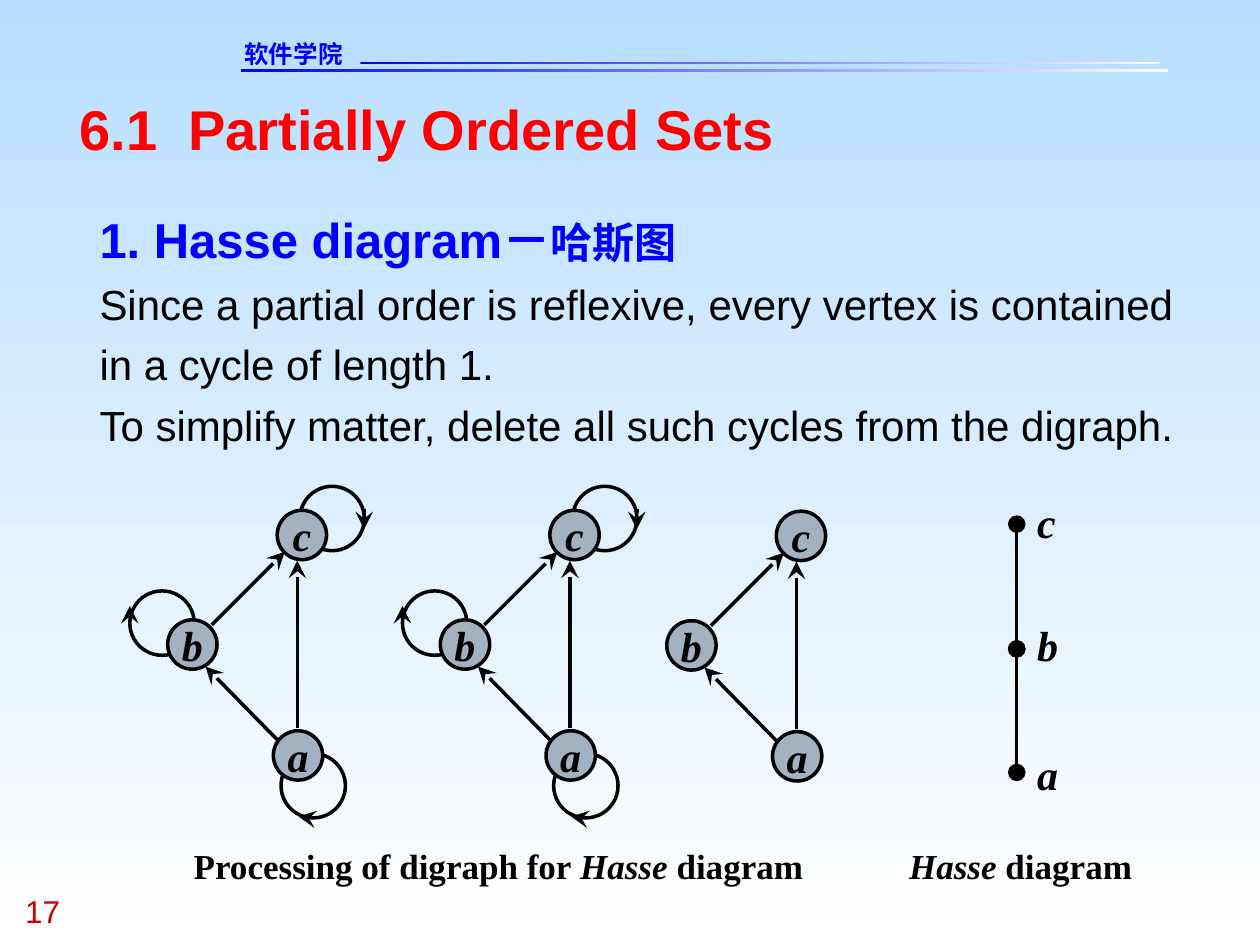
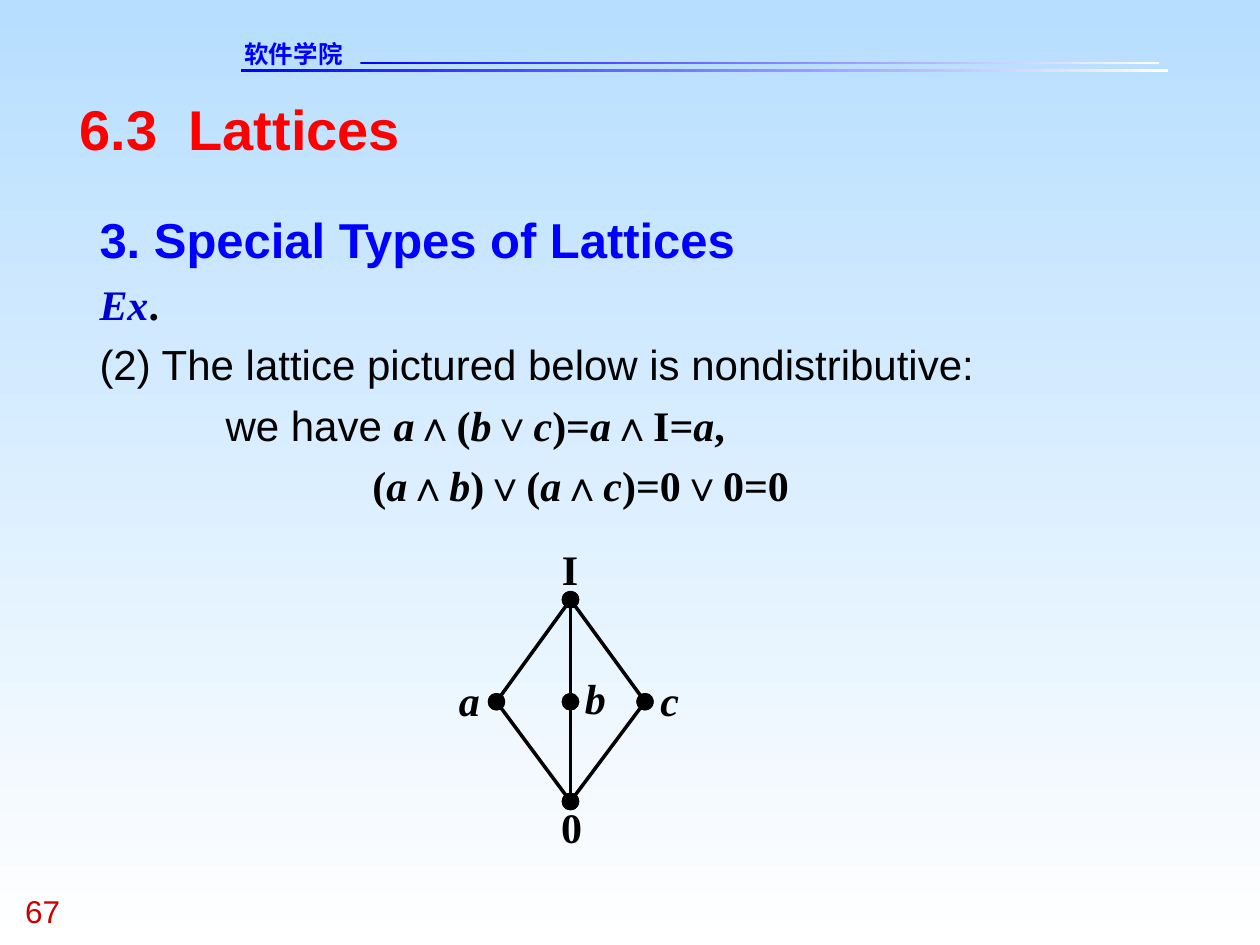
from dataclasses import dataclass, replace
from itertools import groupby
from typing import NamedTuple

from lxml.etree import SubElement
from pptx import Presentation
from pptx.dml.color import RGBColor
from pptx.enum.lang import MSO_LANGUAGE_ID
from pptx.enum.shapes import MSO_CONNECTOR, MSO_SHAPE
from pptx.enum.text import MSO_ANCHOR, PP_ALIGN
from pptx.oxml.ns import qn
from pptx.util import Pt

# Shared look
BLACK, BLUE, RED, WHITE = "000000", "0000FF", "FF0000", "FFFFFF"
SKY, NODE_GREY, NUMBER_RED, EXAMPLE_BLUE = "B7DEFF", "A3B2C1", "CC0000", "0000CC"
SANS, SERIF, HEADER_FONT = "Arial", "Times New Roman", "DejaVu Sans"
LINE_WIDTH = 2
NODE_SIZE, LOOP_SIZE = 28.2, 36.8


class Point(NamedTuple):
    x: float
    y: float


class Place(NamedTuple):
    left: float
    top: float
    width: float
    height: float


class Edge(NamedTuple):
    start: Point
    end: Point


class Label(NamedTuple):
    text: str
    centre: float
    top: float


@dataclass(frozen=True)
class Span:
    text: str
    size: float = 24
    font: str = SANS
    colour: str = BLACK
    bold: bool = False
    italic: bool = False


@dataclass(frozen=True)
class Para:
    spans: list[Span]
    indent: float = 0
    tab: float = 0


HEADER_RULES = [Place(137.5, 39.6, 530, 1.5), Place(206, 35.3, 456.5, 1.5)]
HEADER_PLACE = Place(139.7, 22.3, 104, 16.6)
NUMBER_PLACE = Place(14.4, 509.8, 54, 21.6)
TITLE_PLACE = Place(45.4, 54, 630, 38)
BODY_PLACE = Place(56.9, 113, 630.7, 178.6)
TITLE_TAB = 62.3

# Digraph on a, b, c, placed as its leftmost copy
NODES = {"b": Point(95.8, 354.2), "c": Point(158.4, 291.6), "a": Point(156.2, 417.6)}
NODE_EDGES = [
    Edge(Point(159.1, 423.4), Point(117.4, 380.9)),
    Edge(Point(121, 357.1), Point(162.7, 315.4)),
    Edge(Point(169.9, 416.2), Point(169.9, 320.4)),
]
LOOPS = [Point(74.2, 337.7), Point(171.4, 277.9), Point(160.6, 430.6)]
LOOP_EDGES = [
    Edge(Point(74.2, 355), Point(74.2, 346.3)),
    Edge(Point(208.1, 290.9), Point(208.1, 302.4)),
    Edge(Point(179.3, 468), Point(170.6, 466.6)),
]


def colour_of(value: str) -> RGBColor:
    return RGBColor.from_string(value)


def points(values) -> list:
    return [Pt(value) for value in values]


def set_gradient(fill, first: str, last: str, angle: float) -> None:
    fill.gradient()
    fill.gradient_angle = angle
    for stop, value in zip(fill.gradient_stops, (first, last)):
        stop.color.rgb = colour_of(value)


def write(frame, paras: list[Para], *, align=PP_ALIGN.LEFT, anchor=MSO_ANCHOR.TOP,
          wrap: bool = True, spacing: float | None = None) -> None:
    """Fill a text frame that has no margins."""
    frame.margin_left = frame.margin_right = frame.margin_top = frame.margin_bottom = 0
    frame.word_wrap = wrap
    frame.vertical_anchor = anchor
    for index, para in enumerate(paras):
        line = frame.add_paragraph() if index else frame.paragraphs[0]
        line.alignment = align
        if spacing:
            line.line_spacing = spacing
        properties = line._p.get_or_add_pPr()
        if para.indent:
            properties.set("marL", str(Pt(para.indent)))
        if para.tab:
            stops = SubElement(properties, qn("a:tabLst"))
            SubElement(stops, qn("a:tab"), pos=str(Pt(para.tab)), algn="l")
        for span in para.spans:
            run = line.add_run()
            run.text = span.text
            font = run.font
            font.size, font.name = Pt(span.size), span.font
            font.bold, font.italic = span.bold, span.italic
            font.color.rgb = colour_of(span.colour)
            if not span.text.isascii():
                font.language_id = MSO_LANGUAGE_ID.SIMPLIFIED_CHINESE
                SubElement(run._r.get_or_add_rPr(), qn("a:ea"), typeface=span.font)


def add_text(page, place: Place, paras: list[Para], **layout) -> None:
    write(page.shapes.add_textbox(*points(place)).text_frame, paras, **layout)


def add_line(page, edge: Edge, *, head: str = "none", tail: str = "none") -> None:
    line = page.shapes.add_connector(MSO_CONNECTOR.STRAIGHT, *points(edge.start + edge.end))
    line.line.width = Pt(LINE_WIDTH)
    line.line.color.rgb = colour_of(BLACK)
    outline = line.line._get_or_add_ln()
    for tag, kind in (("a:headEnd", head), ("a:tailEnd", tail)):
        SubElement(outline, qn(tag), type=kind, w="lg", len="lg")
    SubElement(line._element.spPr, qn("a:effectLst"))


def add_circle(page, corner: Point, size: float, fill: str | None = None):
    circle = page.shapes.add_shape(MSO_SHAPE.OVAL, *points((*corner, size, size)))
    circle.shadow.inherit = False
    circle.line.width = Pt(LINE_WIDTH)
    circle.line.color.rgb = colour_of(BLACK)
    if fill:
        circle.fill.solid()
        circle.fill.fore_color.rgb = colour_of(fill)
    else:
        circle.fill.background()
    return circle


def symbol(text: str) -> Span:
    """A mathematical name: small letters slant, operators are sans."""
    operator = text[0] in "∧∨"
    return Span(text, font=SANS if operator else SERIF, bold=True, italic=text[0].islower())


def formula(text: str) -> list[Span]:
    def kind(letter: str) -> tuple[bool, bool]:
        return letter in "∧∨", letter.islower()
    return [symbol("".join(group)) for _, group in groupby(text, kind)]


def add_labels(page, labels: list[Label]) -> None:
    for label in labels:
        add_text(page, Place(label.centre - 6, label.top, 12, 28.8),
                 [Para([symbol(label.text)])], align=PP_ALIGN.CENTER, wrap=False)


def add_digraph(page, right: float, down: float, loops: bool) -> None:
    def moved(point: Point) -> Point:
        return Point(point.x + right, point.y + down)

    def add_arrows(edges: list[Edge]) -> None:
        for edge in edges:
            add_line(page, Edge(moved(edge.start), moved(edge.end)), tail="stealth")

    if loops:
        for corner in LOOPS:
            add_circle(page, moved(corner), LOOP_SIZE)
        add_arrows(LOOP_EDGES)
    for name, corner in NODES.items():
        node = add_circle(page, moved(corner), NODE_SIZE, NODE_GREY)
        write(node.text_frame, [Para([symbol(name)])], align=PP_ALIGN.CENTER,
              anchor=MSO_ANCHOR.MIDDLE, wrap=False)
    add_arrows(NODE_EDGES)


def add_hasse(page, vertices: dict[str, Point], pairs: list[str]) -> None:
    """Join pairs of vertices by lines that end in dots."""
    for low, high in pairs:
        add_line(page, Edge(vertices[low], vertices[high]), head="oval", tail="oval")


def add_caption(page, place: Place, spans: list[Span]) -> None:
    caption = [replace(span, size=20, font=SERIF, bold=True) for span in spans]
    add_text(page, place, [Para(caption)], align=PP_ALIGN.CENTER, wrap=False)


def start_page(deck, number: str, title: str, body: list[Para]):
    """Add a page with background, header, number, title and body."""
    page = deck.slides.add_slide(deck.slide_layouts[6])
    set_gradient(page.background.fill, SKY, WHITE, 270)
    for place in HEADER_RULES:
        rule = page.shapes.add_shape(MSO_SHAPE.RECTANGLE, *points(place))
        rule.shadow.inherit = False
        rule.line.fill.background()
        set_gradient(rule.fill, BLUE, WHITE, 0)
    add_text(page, HEADER_PLACE, [Para([Span("软件学院", 14, HEADER_FONT, BLUE, True)])])
    add_text(page, NUMBER_PLACE, [Para([Span(number, 18, colour=NUMBER_RED)])])
    add_text(page, TITLE_PLACE, [Para([Span(title, 32, SANS, RED, True)], tab=TITLE_TAB)])
    add_text(page, BODY_PLACE, body, spacing=1.2)
    return page


def add_hasse_page(deck) -> None:
    page = start_page(deck, "17", "6.1\tPartially Ordered Sets", [
        Para([Span("1. Hasse diagram－", 28, SANS, BLUE, True),
              Span("哈斯图", 24, SANS, BLUE, True)]),
        Para([Span("Since a partial order is reflexive, every vertex is contained "
                   "in a cycle of length 1.")]),
        Para([Span("To simplify matter, delete all such cycles from the digraph.")]),
    ])
    # Digraph, its processing, and the resulting chain
    add_digraph(page, 0, 0, loops=True)
    add_digraph(page, 155.8, 0, loops=True)
    add_digraph(page, 285.2, 0.5, loops=False)
    chain = {"a": Point(581, 441.4), "b": Point(581, 370.8), "c": Point(581, 299.5)}
    add_hasse(page, chain, ["ab", "bc"])
    add_labels(page, [Label("a", 598.7, 427.7), Label("b", 598.7, 354.2),
                      Label("c", 598, 283.7)])
    add_caption(page, Place(110.2, 482.4, 349.2, 23.8),
                [Span("Processing of digraph for "), Span("Hasse ", italic=True),
                 Span("diagram")])
    add_caption(page, Place(506.9, 482.4, 152.6, 23.8),
                [Span("Hasse", italic=True), Span(" diagram")])


def add_lattice_page(deck) -> None:
    page = start_page(deck, "67", "6.3\tLattices", [
        Para([Span("3. Special Types of Lattices", 28, SANS, BLUE, True)]),
        Para([Span("Ex", 24, SERIF, EXAMPLE_BLUE, True, True), symbol(".")]),
        Para([Span("(2) The lattice pictured below is nondistributive:")]),
        Para([Span("we have "), *formula("a∧(b∨c)=a∧I=a,")], indent=72),
        Para(formula("(a∧b)∨(a∧c)=0∨0=0"), indent=156),
    ])
    # Diamond lattice
    diamond = {"0": Point(326, 458), "a": Point(283.7, 401), "b": Point(326, 401),
               "c": Point(368.6, 401), "I": Point(326, 342.7)}
    add_hasse(page, diamond, [pair for middle in "abc" for pair in ("0" + middle, middle + "I")])
    add_labels(page, [Label("a", 268.2, 385.2), Label("I", 325.8, 310.3),
                      Label("c", 382.7, 385.2), Label("0", 326.6, 457.9),
                      Label("b", 340.2, 384.5)])


def main() -> None:
    deck = Presentation()
    deck.slide_width, deck.slide_height = Pt(720), Pt(540)
    add_hasse_page(deck)
    add_lattice_page(deck)
    deck.save("out.pptx")


if __name__ == "__main__":
    main()
